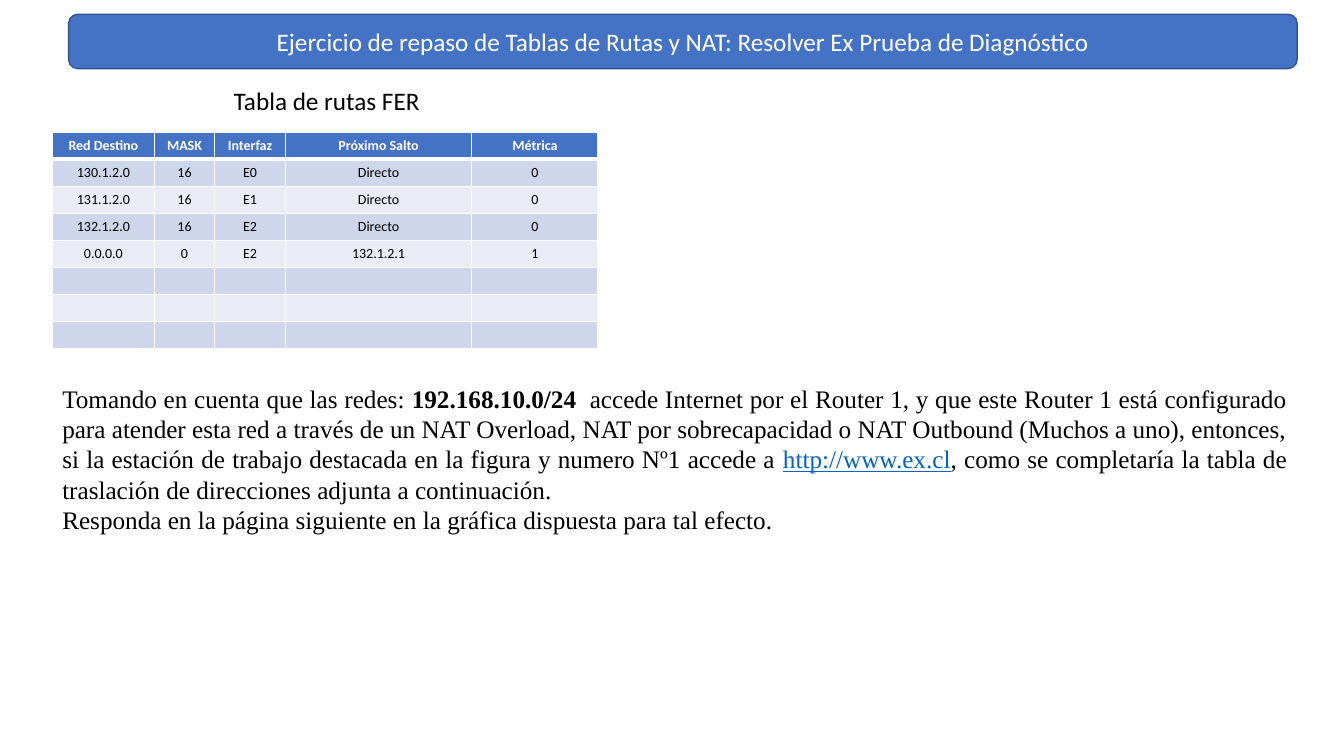
from lxml.etree import SubElement
from pptx import Presentation
from pptx.dml.color import RGBColor
from pptx.enum.shapes import MSO_AUTO_SHAPE_TYPE as Shape
from pptx.enum.text import MSO_ANCHOR as Anchor, PP_ALIGN as Align
from pptx.oxml.ns import qn
from pptx.util import Cm, Pt

BLUE, DARK_BLUE, LINK = "4472C4", "325491", "0563C1"
WHITE, BLACK = "FFFFFF", "000000"
BANDS = ("CFD5EA", "E9EBF5")

ROUTES = [
    ("Red Destino", "MASK", "Interfaz", "Próximo Salto", "Métrica"),
    ("130.1.2.0", "16", "E0", "Directo", "0"),
    ("131.1.2.0", "16", "E1", "Directo", "0"),
    ("132.1.2.0", "16", "E2", "Directo", "0"),
    ("0.0.0.0", "0", "E2", "132.1.2.1", "1"),
] + [("",) * 5] * 3
COLUMN_WIDTHS = (2.57, 1.52, 1.78, 4.7, 3.18)
ROW_HEIGHT = 0.68

QUESTION = [
    [
        "Tomando en cuenta que las redes: ",
        ("192.168.10.0/24 ", {"bold": True}),
        " accede Internet por el Router 1, y que este Router 1 está configurado "
        "para atender esta red a través de un NAT Overload, NAT por sobrecapacidad "
        "o NAT Outbound (Muchos a uno), entonces, si la estación de trabajo "
        "destacada en la figura y numero Nº1 accede a ",
        ("http://www.ex.cl", {"color": LINK, "underline": True}),
        ", como se completaría la tabla de traslación de direcciones adjunta "
        "a continuación.",
    ],
    ["Responda en la página siguiente en la gráfica dispuesta para tal efecto."],
]


def rgb(value):
    return RGBColor.from_string(value)


def write(frame, paragraphs, align=Align.LEFT, **style):
    """Fill a text frame; a span is a string or a (string, style changes) pair."""
    for index, spans in enumerate(paragraphs):
        para = frame.add_paragraph() if index else frame.paragraphs[0]
        para.alignment = align
        for span in spans:
            text, changes = (span, {}) if isinstance(span, str) else span
            look = {"size": 18, "font": "Calibri", "color": BLACK,
                    "bold": False, "underline": False, **style, **changes}
            if not text:
                SubElement(para._p, qn("a:endParaRPr"), sz=str(look["size"] * 100))
                continue
            run = para.add_run()
            run.text = text
            run.font.size = Pt(look["size"])
            run.font.name = look["font"]
            run.font.color.rgb = rgb(look["color"])
            run.font.bold = look["bold"]
            run.font.underline = look["underline"]


def set_borders(cell, color, bottom):
    """Draw 1 pt cell borders, with the bottom one as wide as given."""
    properties = cell._tc.get_or_add_tcPr()
    for index, (side, width) in enumerate(
            (("lnL", 1), ("lnR", 1), ("lnT", 1), ("lnB", bottom))):
        line = properties.makeelement(qn("a:" + side), {"w": str(Pt(width))})
        fill = SubElement(line, qn("a:solidFill"))
        SubElement(fill, qn("a:srgbClr"), val=color)
        properties.insert(index, line)


class RoutingPage:
    def __init__(self, deck):
        self.page = deck.slides.add_slide(deck.slide_layouts[6])

    def banner(self, left, top, width, height, text):
        box = self.page.shapes.add_shape(
            Shape.ROUNDED_RECTANGLE, Cm(left), Cm(top), Cm(width), Cm(height))
        box.shadow.inherit = False
        box.fill.solid()
        box.fill.fore_color.rgb = rgb(BLUE)
        box.line.color.rgb = rgb(DARK_BLUE)
        box.line.width = Pt(1)
        box.text_frame.vertical_anchor = Anchor.MIDDLE
        write(box.text_frame, [[text]], align=Align.CENTER, color=WHITE)

    def text(self, left, top, width, height, paragraphs, wrap=True, **style):
        box = self.page.shapes.add_textbox(Cm(left), Cm(top), Cm(width), Cm(height))
        box.text_frame.word_wrap = wrap
        write(box.text_frame, paragraphs, **style)

    def table(self, left, top, widths, row_height, rows):
        table = self.page.shapes.add_table(
            len(rows), len(widths), Cm(left), Cm(top),
            Cm(sum(widths)), Cm(row_height * len(rows))).table
        for column, width in zip(table.columns, widths):
            column.width = Cm(width)
        for row_index, values in enumerate(rows):
            header = row_index == 0
            table.rows[row_index].height = Cm(row_height)
            for column_index, value in enumerate(values):
                cell = table.cell(row_index, column_index)
                cell.fill.solid()
                cell.fill.fore_color.rgb = rgb(BLUE if header else BANDS[(row_index - 1) % 2])
                set_borders(cell, WHITE, bottom=3 if header else 1)
                write(cell.text_frame, [[value]], align=Align.CENTER, size=10,
                      bold=header, color=WHITE if header else BLACK)


def main():
    deck = Presentation()
    deck.slide_width, deck.slide_height = Cm(33.87), Cm(19.05)
    page = RoutingPage(deck)
    page.table(1.32, 3.33, COLUMN_WIDTHS, ROW_HEIGHT, ROUTES)
    page.text(5.64, 2.03, 5.26, 1.02, [["Tabla de rutas FER"]], wrap=False)
    page.banner(1.73, 0.36, 30.96, 1.37,
                "Ejercicio de repaso de Tablas de Rutas y NAT: "
                "Resolver Ex Prueba de Diagnóstico")
    page.text(1.32, 9.53, 31.37, 4.11, QUESTION,
              align=Align.JUSTIFY, font="Times New Roman")
    deck.save("out.pptx")


if __name__ == "__main__":
    main()
